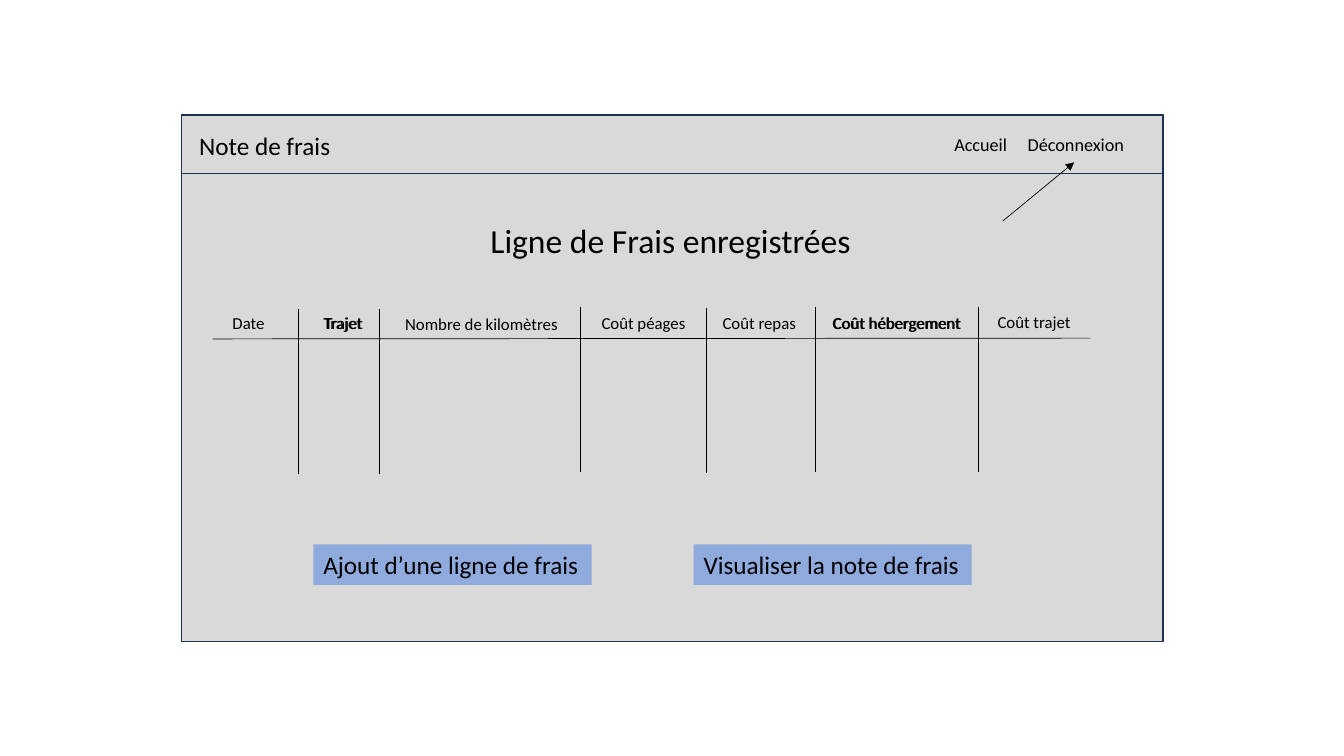
from dataclasses import dataclass

from lxml.etree import SubElement
from pptx import Presentation
from pptx.dml.color import RGBColor
from pptx.enum.shapes import MSO_CONNECTOR, MSO_SHAPE
from pptx.enum.text import MSO_AUTO_SIZE
from pptx.oxml.ns import qn
from pptx.util import Cm, Pt


@dataclass(frozen=True)
class Theme:
    """Colours, type sizes and line widths of the mockup."""
    font: str = "Calibri"
    ink: RGBColor = RGBColor(0x00, 0x00, 0x00)
    panel: RGBColor = RGBColor(0xD9, 0xD9, 0xD9)
    border: RGBColor = RGBColor(0x1E, 0x32, 0x56)
    button: RGBColor = RGBColor(0x8F, 0xAA, 0xDC)
    title: Pt = Pt(24)
    large: Pt = Pt(18)
    menu: Pt = Pt(13)
    column: Pt = Pt(12)
    border_width: Pt = Pt(1)
    rule_width: Pt = Pt(0.5)


@dataclass(frozen=True)
class Box:
    """A rectangle in centimetres."""
    left: float
    top: float
    width: float
    height: float

    def inner(self, left, top, width, height):
        """Return a box placed relative to this one."""
        return Box(self.left + left, self.top + top, width, height)

    def lengths(self):
        """Return the four measures as slide lengths."""
        return Cm(self.left), Cm(self.top), Cm(self.width), Cm(self.height)


THEME = Theme()
COLUMNS = [
    ("Date", 0.25, 0.03, 1.88),
    ("Trajet", 2.57, 0.03, 1.65),
    ("Coût hébergement", 15.39, 0.03, 3.76),
    ("Trajet", 2.54, 0.03, 1.65),
    ("Nombre de kilomètres", 4.6, 0.05, 4.37),
    ("Coût péages", 9.55, 0.03, 2.67),
    ("Coût repas", 12.6, 0.03, 2.39),
    ("Coût hébergement", 15.37, 0.03, 3.76),
    ("Coût trajet", 19.53, 0, 2.39),
]
SEPARATORS = [(2.16, 0.05), (4.19, 0.05), (9.27, 0), (12.45, 0.03), (15.19, 0), (19.3, 0)]


def add_panel(slide, box):
    """Draw a bordered grey rectangle."""
    panel = slide.shapes.add_shape(MSO_SHAPE.RECTANGLE, *box.lengths())
    panel.shadow.inherit = False
    panel.fill.solid()
    panel.fill.fore_color.rgb = THEME.panel
    panel.line.color.rgb = THEME.border
    panel.line.width = THEME.border_width


def add_label(slide, box, wording, size):
    """Write one line of text and return its text box."""
    label = slide.shapes.add_textbox(*box.lengths())
    frame = label.text_frame
    frame.word_wrap = True
    frame.auto_size = MSO_AUTO_SIZE.SHAPE_TO_FIT_TEXT
    paragraph = frame.paragraphs[0]
    paragraph.text = wording
    paragraph.font.name = THEME.font
    paragraph.font.size = size
    paragraph.font.color.rgb = THEME.ink
    return label


def add_rule(slide, box, start, end, arrow=False):
    """Draw a thin line between two points relative to the box."""
    rule = slide.shapes.add_connector(
        MSO_CONNECTOR.STRAIGHT,
        Cm(box.left + start[0]), Cm(box.top + start[1]),
        Cm(box.left + end[0]), Cm(box.top + end[1]),
    )
    rule.line.color.rgb = THEME.ink
    rule.line.width = THEME.rule_width
    properties = rule._element.spPr
    if arrow:
        SubElement(properties.find(qn("a:ln")), qn("a:tailEnd"), type="triangle")
    SubElement(properties, qn("a:effectLst"))


def add_header(slide, box):
    """Draw the top bar with the application name and the menu."""
    add_panel(slide, box)
    add_label(slide, box.inner(19.23, 0.33, 1.85, 0.81), "Accueil", THEME.menu)
    add_label(slide, box.inner(21.08, 0.33, 3, 0.81), "Déconnexion", THEME.menu)
    add_label(slide, box.inner(0.2, 0.25, 4.27, 1.02), "Note de frais", THEME.large)


def add_expense_grid(slide, box):
    """Draw the column headings and the lines of the empty expense grid."""
    for heading, left, top, width in COLUMNS:
        add_label(slide, box.inner(left, top, width, 0.76), heading, THEME.column)
    add_rule(slide, box, (0, 0.81), (box.width, 0.79))
    for left, top in SEPARATORS:
        add_rule(slide, box, (left, top), (left, top + box.height))


def add_buttons(slide, box):
    """Place the two action buttons at the ends of the box."""
    width = 7.01
    for wording, left in (
        ("Visualiser la note de frais", box.width - width),
        ("Ajout d’une ligne de frais", 0),
    ):
        button = add_label(slide, box.inner(left, 0, width, box.height), wording, THEME.large)
        button.fill.solid()
        button.fill.fore_color.rgb = THEME.button


def add_expense_page(slide, box):
    """Assemble the page of recorded expense lines inside the box."""
    add_panel(slide, box)
    add_header(slide, box.inner(0, 0, box.width, 1.47))
    add_label(slide, box.inner(7.54, 2.51, 9.63, 1.27), "Ligne de Frais enregistrées", THEME.title)
    add_expense_grid(slide, box.inner(0.79, 4.83, 22.12, 4.17))
    add_buttons(slide, box.inner(3.33, 10.82, 16.59, 1.02))
    add_rule(slide, box, (20.7, 2.67), (22.5, 1.19), arrow=True)


def main():
    """Build and save the presentation."""
    presentation = Presentation()
    presentation.slide_width = Cm(33.87)
    presentation.slide_height = Cm(19.05)
    slide = presentation.slides.add_slide(presentation.slide_layouts[6])
    add_expense_page(slide, Box(4.57, 2.9, 24.74, 13.26))
    presentation.save("out.pptx")


if __name__ == "__main__":
    main()
